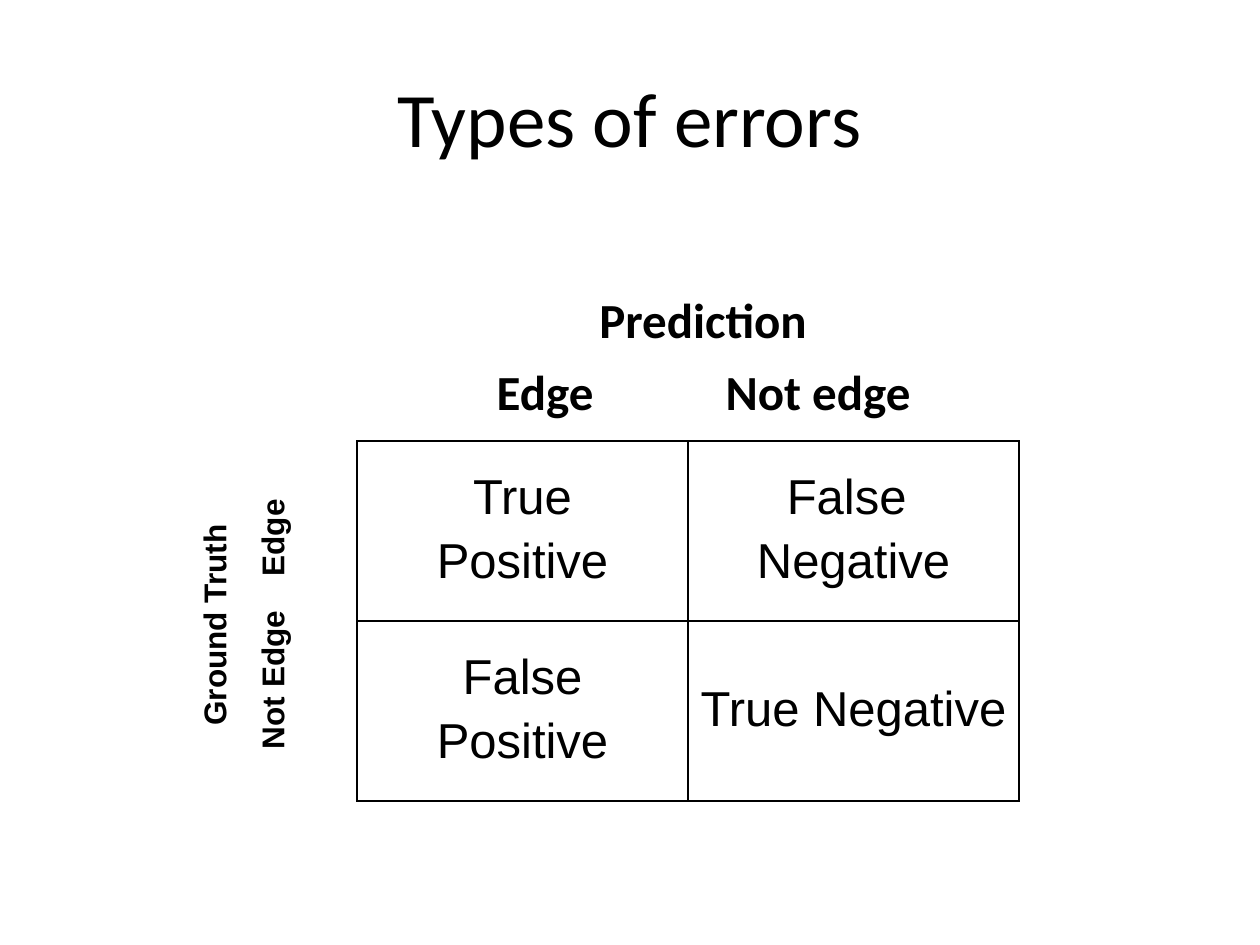
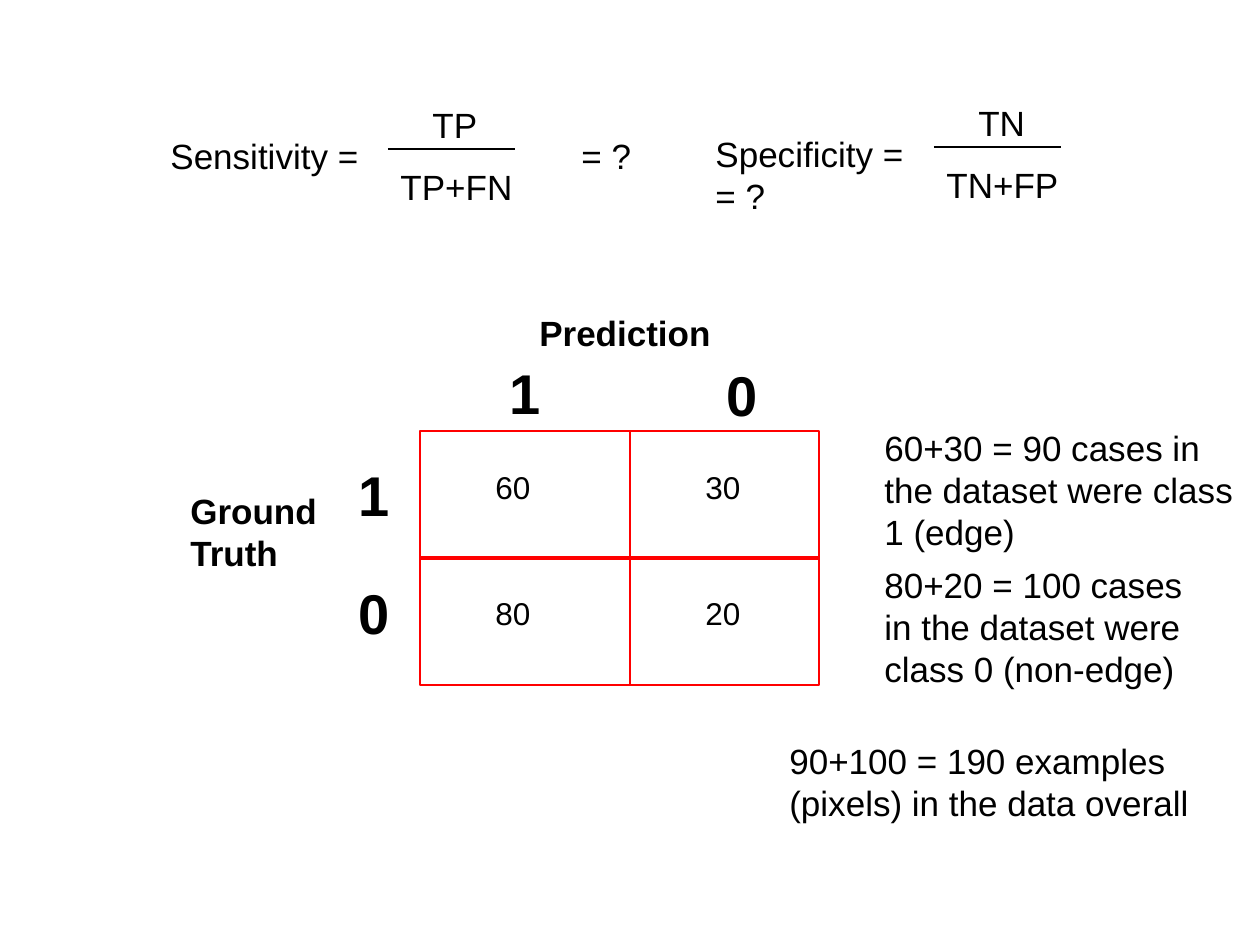
"""Build two slides on error types and on sensitivity and specificity."""
from dataclasses import dataclass

from lxml import etree
from pptx import Presentation
from pptx.dml.color import RGBColor
from pptx.enum import shapes, text
from pptx.oxml import ns
from pptx.util import Emu, Pt

PX_PER_INCH = 126
COLORS = {"ink": "000000", "grid": "FF0000"}
BODY, HEAD = "Arial", "Calibri"
LEFT, CENTER = text.PP_ALIGN.LEFT, text.PP_ALIGN.CENTER
TOP, MIDDLE = text.MSO_ANCHOR.TOP, text.MSO_ANCHOR.MIDDLE


@dataclass(frozen=True)
class Label:
    """A text box with its place in px and its format."""
    text: str
    x: int
    y: int
    w: int
    h: int = 55
    size: int = 20
    font: str = BODY
    bold: bool = False
    align: text.PP_ALIGN = LEFT
    anchor: text.MSO_ANCHOR = TOP
    upright: bool = False


@dataclass(frozen=True)
class Fraction:
    """A fraction with its bar's left end and height in px."""
    top: str
    bottom: str
    x: int
    y: int


TITLE = Label("Types of errors", 63, 38, 1134, 157, size=44, font=HEAD,
              align=CENTER, anchor=MIDDLE)
HEADINGS = [("Prediction", 703, 283), ("Edge", 545, 355), ("Not edge", 818, 355)]
HEADING_WIDTH = 260
SIDE_HEADINGS = [("Ground Truth", 195, 625), ("Not Edge", 253, 680), ("Edge", 253, 538)]
SIDE_LENGTH = 240
OUTCOMES = [["True\nPositive", "False \nNegative"],
            ["False\nPositive", "True Negative"]]

FORMULAS = [
    Label("Sensitivity =", 158, 128, 230),
    Label("= ?", 569, 128, 105),
    Label("Specificity =\n= ?", 703, 126, 230, 97),
]
FRACTIONS = [Fraction("TP", "TP+FN", 388, 149), Fraction("TN", "TN+FP", 934, 147)]
COUNTS = [["60", "30"], ["80", "20"]]
COLUMNS = [(420, 210), (630, 189)]
GRID_TOP, ROW_STEP, ROW_HEIGHT = 431, 126, 128
CLASSES = [
    Label("Prediction", 483, 305, 284, bold=True, align=CENTER),
    Label("Ground Truth", 178, 483, 200, 97, bold=True),
] + [Label(digit, x, y, 70, 81, size=32, bold=True) for digit, x, y in
     [("1", 497, 352), ("0", 714, 354), ("1", 346, 454), ("0", 346, 572)]]
REMARKS = [
    Label("60+30 = 90 cases in the dataset were class 1 (edge)", 872, 420, 388, 139),
    Label("80+20 = 100 cases in the dataset were class 0 (non-edge)", 872, 557, 325, 139),
    Label("90+100 = 190 examples (pixels) in the data overall", 777, 733, 441, 97),
]


def px(n: int) -> Emu:
    """Turn px into EMU."""
    return Emu(round(n * 914400 / PX_PER_INCH))


def color(name: str) -> RGBColor:
    """Look up a named colour."""
    return RGBColor.from_string(COLORS[name])


def write(tf, content: str, *, size: int, font: str = BODY, bold: bool = False,
          align=LEFT, line: float = 1.0, before: int = 0) -> None:
    """Fill a text frame with one paragraph per line of content."""
    for i, row in enumerate(content.split("\n")):
        p = tf.add_paragraph() if i else tf.paragraphs[0]
        p.alignment, p.line_spacing, p.space_before = align, line, Pt(before)
        r = p.add_run()
        r.text = row
        r.font.name, r.font.size, r.font.bold = font, Pt(size), bold
        r.font.color.rgb = color("ink")


def draw_label(s, label: Label) -> None:
    """Draw a label as a text box."""
    sp = s.shapes.add_textbox(px(label.x), px(label.y), px(label.w), px(label.h))
    tf = sp.text_frame
    tf.word_wrap = True
    tf.vertical_anchor = label.anchor
    if label.upright:
        tf.margin_left = tf.margin_right = tf.margin_top = tf.margin_bottom = 0
        tf._txBody.bodyPr.set("vert", "vert270")
    write(tf, label.text, size=label.size, font=label.font, bold=label.bold,
          align=label.align)


def draw_fraction(s, f: Fraction) -> None:
    """Draw a numerator, a bar and a denominator."""
    draw_label(s, Label(f.top, f.x + 32, f.y - 52, 105))
    bar = s.shapes.add_connector(shapes.MSO_CONNECTOR.STRAIGHT, px(f.x), px(f.y),
                                 px(f.x + 127), px(f.y))
    bar.line.color.rgb = color("ink")
    bar.line.width = Pt(0.75)
    etree.SubElement(bar._element.spPr, ns.qn("a:effectLst"))
    draw_label(s, Label(f.bottom, f.x, f.y + 10, 160))


def draw_box(s, x: int, y: int, w: int, h: int) -> None:
    """Draw one outlined cell of the count grid."""
    sp = s.shapes.add_shape(shapes.MSO_SHAPE.RECTANGLE, px(x), px(y), px(w), px(h))
    sp.shadow.inherit = False
    sp.fill.background()
    sp.line.color.rgb = color("grid")
    sp.line.width = Pt(1.5)


def add_borders(cell) -> None:
    """Give a table cell thin lines on all sides."""
    tc_pr = cell._tc.get_or_add_tcPr()
    for i, side in enumerate(("lnL", "lnR", "lnT", "lnB")):
        ln = etree.Element(ns.qn(f"a:{side}"), w=str(Pt(0.75)))
        fill = etree.SubElement(ln, ns.qn("a:solidFill"))
        etree.SubElement(fill, ns.qn("a:srgbClr"), val=COLORS["ink"])
        tc_pr.insert(i, ln)


def draw_outcomes(s) -> None:
    """Draw the table of the four outcomes."""
    table = s.shapes.add_table(2, 2, px(357), px(441), px(662), px(360)).table
    table.first_row = table.horz_banding = False
    for i, row in enumerate(OUTCOMES):
        for j, outcome in enumerate(row):
            cell = table.cell(i, j)
            cell.fill.background()
            cell.vertical_anchor = MIDDLE
            write(cell.text_frame, outcome, size=28, align=CENTER, line=0.94, before=7)
            add_borders(cell)


def build_errors(s) -> None:
    """Build the slide on types of errors."""
    draw_label(s, TITLE)
    for name, center, y in HEADINGS:
        draw_label(s, Label(name, center - HEADING_WIDTH // 2, y, HEADING_WIDTH, 72,
                            size=28, font=HEAD, bold=True, align=CENTER))
    draw_outcomes(s)
    for name, x, center in SIDE_HEADINGS:
        draw_label(s, Label(name, x, center - SIDE_LENGTH // 2, 37, SIDE_LENGTH,
                            size=18, bold=True, align=CENTER, upright=True))


def build_measures(s) -> None:
    """Build the slide on sensitivity and specificity."""
    for label in FORMULAS + CLASSES + REMARKS:
        draw_label(s, label)
    for fraction in FRACTIONS:
        draw_fraction(s, fraction)
    for i, row in enumerate(COUNTS):
        y = GRID_TOP + i * ROW_STEP
        for (x, w), count in zip(COLUMNS, row):
            draw_box(s, x, y, w, ROW_HEIGHT)
            draw_label(s, Label(count, x + 63, y + 31, 105, 50, size=18))


def main() -> None:
    """Build and save the slides."""
    prs = Presentation()
    prs.slide_width, prs.slide_height = px(1260), px(945)
    for build in (build_errors, build_measures):
        build(prs.slides.add_slide(prs.slide_layouts[6]))
    prs.save("out.pptx")


if __name__ == "__main__":
    main()
